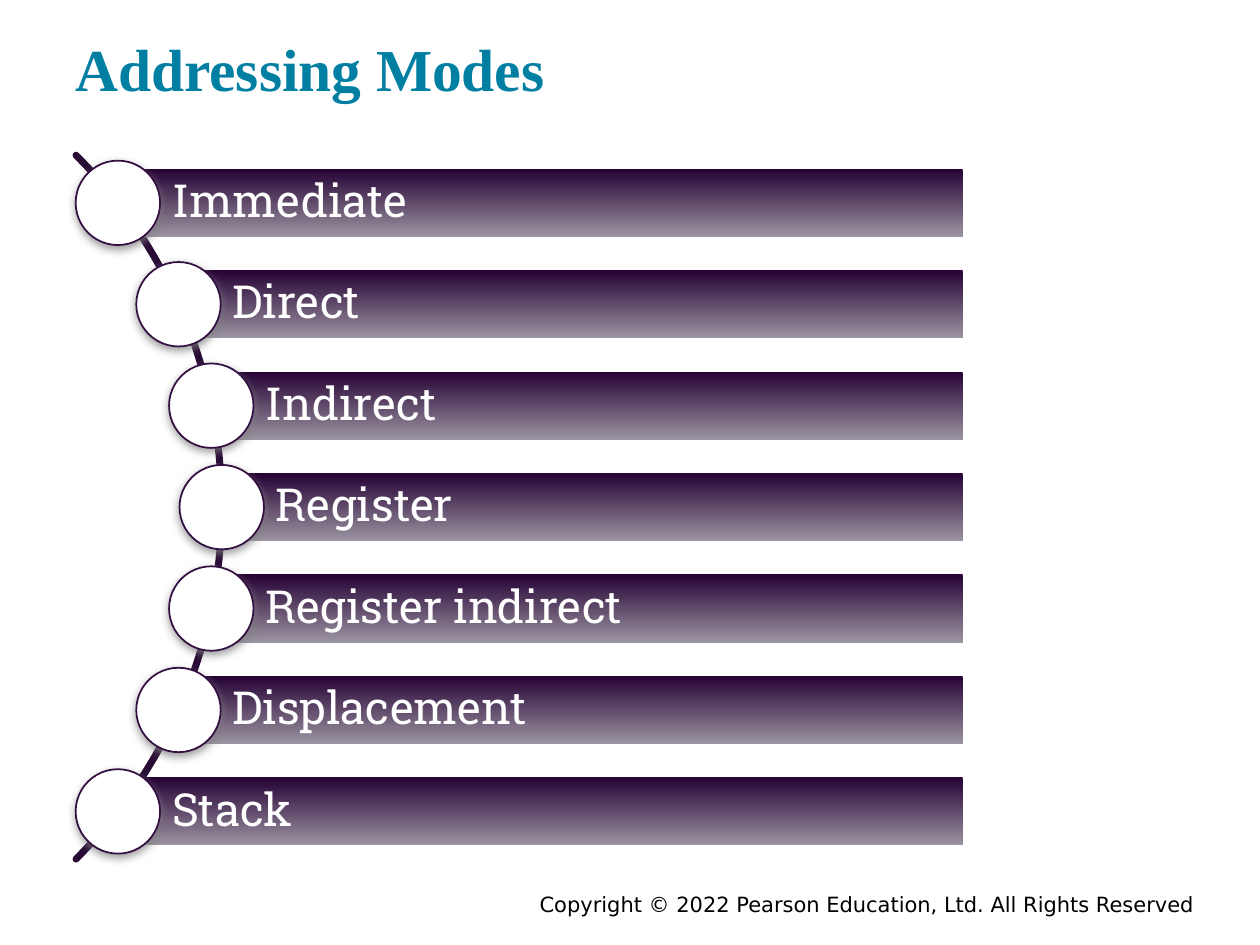
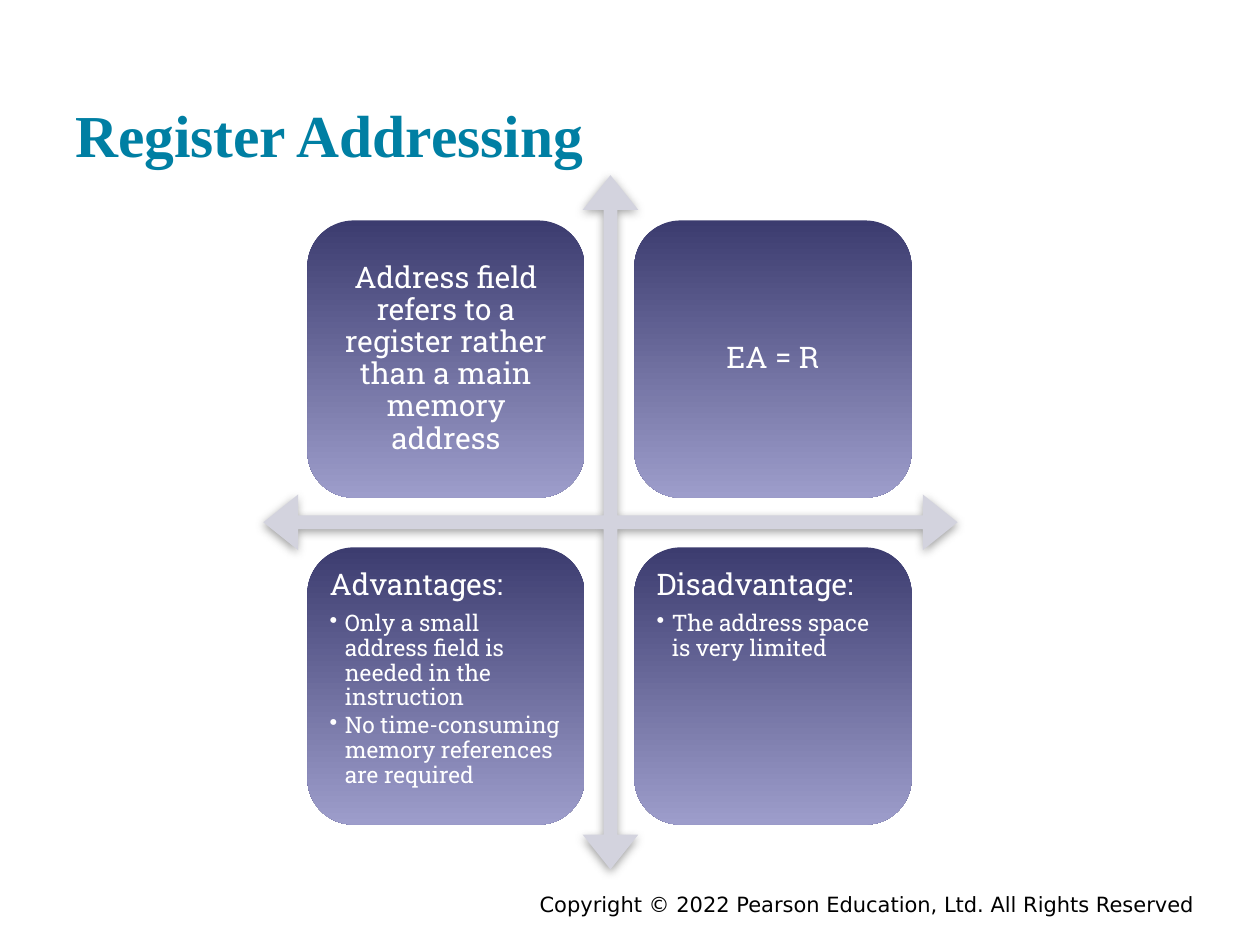
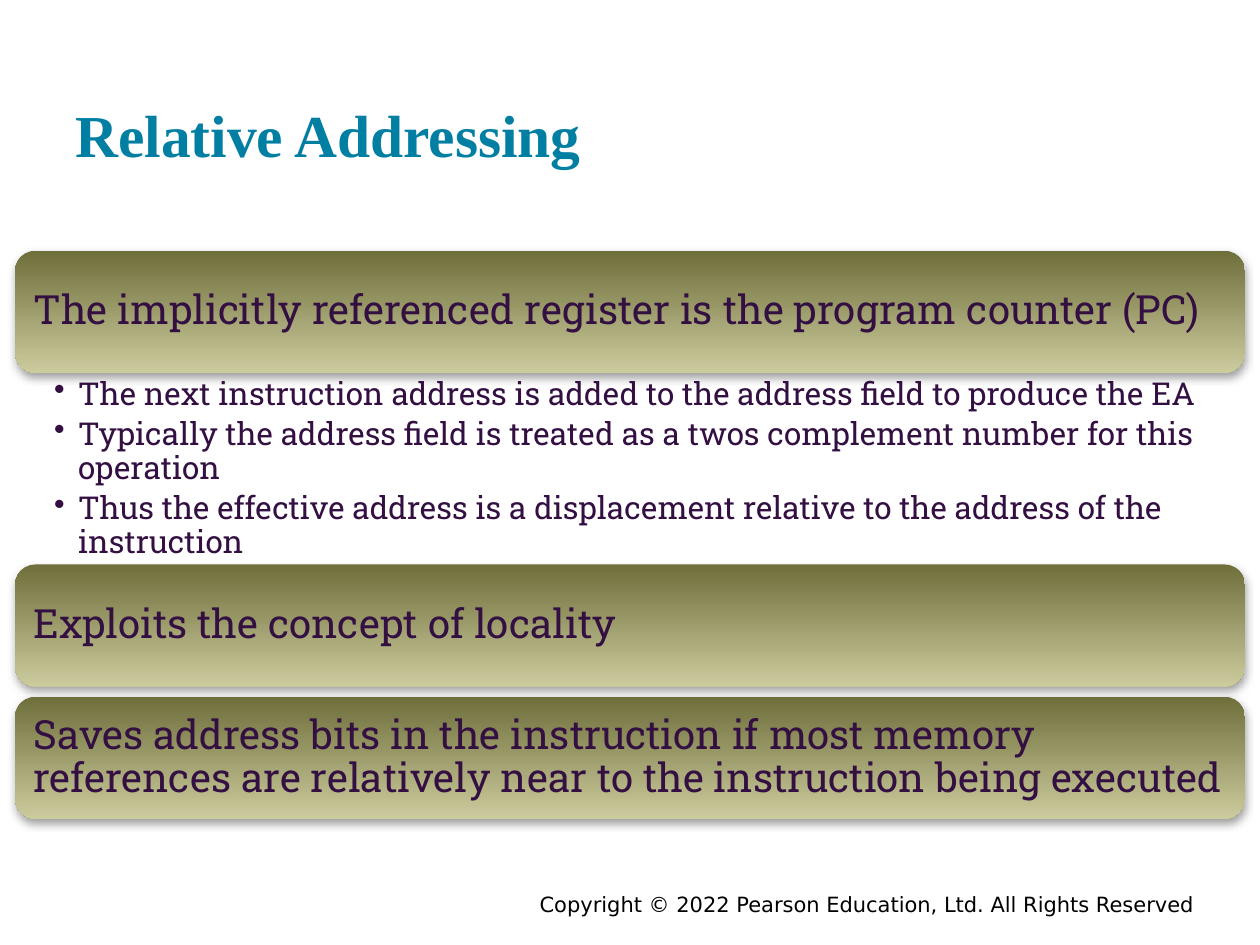
"""Build three slides on processor addressing modes."""
from dataclasses import dataclass
from math import cos, radians, sin, sqrt
from typing import NamedTuple, Optional, Sequence

from lxml.etree import SubElement
from pptx import Presentation
from pptx.dml.color import RGBColor
from pptx.enum.shapes import MSO_SHAPE as Preset
from pptx.enum.text import MSO_ANCHOR as Anchor, PP_ALIGN as Align
from pptx.oxml.ns import qn
from pptx.presentation import Presentation as Deck
from pptx.shapes.autoshape import Shape
from pptx.slide import Slide
from pptx.util import Inches, Pt

COLUMNS, ROWS = 100, 75
CELL = Inches(10) // COLUMNS


class Box(NamedTuple):
    """Area in columns and rows of the slide grid."""

    left: float
    top: float
    width: float
    height: float


class Gradient(NamedTuple):
    """Top and bottom colours of a vertical blend."""

    top: str
    bottom: str


class Insets(NamedTuple):
    """Text margins in grid cells."""

    left: float
    top: float
    right: float
    bottom: float


@dataclass(frozen=True)
class Theme:
    """Colours, fonts and type sizes shared by the slides."""

    title: str = "007FA3"
    ink: str = "330F42"
    white: str = "FFFFFF"
    black: str = "000000"
    arc: str = "290C35"
    arrows: str = "D3D3DE"
    shadow: str = "808080"
    purple: Gradient = Gradient("260235", "9B94A1")
    violet: Gradient = Gradient("3C3C6F", "9D9DCB")
    olive: Gradient = Gradient("6F6F3C", "CBCB9D")
    title_font: str = "Times New Roman"
    body_font: str = "Roboto Slab"
    footer_font: str = "DejaVu Sans"
    title_size: int = 34
    mode_size: int = 26
    statement_size: int = 23
    detail_size: int = 18
    quadrant_size: int = 17
    point_size: int = 13
    footer_size: int = 12


THEME = Theme()


@dataclass(frozen=True)
class Line:
    """One paragraph with its look."""

    text: str
    size: int
    color: str
    font: str = THEME.body_font
    bold: bool = False
    align: Align = Align.LEFT
    spacing: float = 0.9
    after: float = 0.35
    hang: float = 0


@dataclass(frozen=True)
class Quadrant:
    """Heading of a quadrant and the points below it."""

    heading: str
    points: Sequence[str] = ()


MODES = ("Immediate", "Direct", "Indirect", "Register", "Register indirect", "Displacement", "Stack")
QUADRANTS = (
    Quadrant("Address field refers to a register rather than a main memory address"),
    Quadrant("EA = R"),
    Quadrant("Advantages:", (
        "Only a small address field is needed in the instruction",
        "No time-consuming memory references are required",
    )),
    Quadrant("Disadvantage:", ("The address space is very limited",)),
)
STATEMENTS = (
    (19.9, "The implicitly referenced register is the program counter (PC)"),
    (44.8, "Exploits the concept of locality"),
    (55.3, "Saves address bits in the instruction if most memory references "
           "are relatively near to the instruction being executed"),
)
DETAILS = (
    "The next instruction address is added to the address field to produce the EA",
    "Typically the address field is treated as a twos complement number for this operation",
    "Thus the effective address is a displacement relative to the address of the instruction",
)
COPYRIGHT = "Copyright © 2022 Pearson Education, Ltd. All Rights Reserved"


def cells(count: float) -> int:
    """Convert grid cells to slide units."""
    return round(count * CELL)


def rgb(color: str) -> RGBColor:
    """Read a hex colour."""
    return RGBColor.from_string(color)


def write(shape: Shape, lines: Sequence[Line], insets: Insets, anchor: Anchor) -> None:
    """Fill a shape with paragraphs."""
    frame = shape.text_frame
    frame.word_wrap = True
    frame.vertical_anchor = anchor
    frame.margin_left, frame.margin_top, frame.margin_right, frame.margin_bottom = map(cells, insets)
    for index, line in enumerate(lines):
        paragraph = frame.add_paragraph() if index else frame.paragraphs[0]
        if line.hang:
            properties = paragraph._p.get_or_add_pPr()
            properties.set("marL", str(cells(line.hang)))
            properties.set("indent", str(-cells(line.hang)))
            SubElement(properties, qn("a:buChar")).set("char", "•")
        paragraph.alignment = line.align
        paragraph.line_spacing = line.spacing
        paragraph.space_after = Pt(line.after * line.size)
        run = paragraph.add_run()
        run.text = line.text
        run.font.name, run.font.size, run.font.bold = line.font, Pt(line.size), line.bold
        run.font.color.rgb = rgb(line.color)


def add_text(slide: Slide, box: Box, lines: Sequence[Line], insets: Insets, anchor: Anchor = Anchor.TOP) -> None:
    """Place text without a background."""
    write(slide.shapes.add_textbox(*map(cells, box)), lines, insets, anchor)


def cast_shadow(shape: Shape) -> None:
    """Drop a soft shadow straight down."""
    effects = shape._element.spPr.find(qn("a:effectLst"))
    outer = SubElement(effects, qn("a:outerShdw"), blurRad=str(Pt(5)), dist=str(Pt(2)),
                       dir="5400000", rotWithShape="0")
    color = SubElement(outer, qn("a:srgbClr"), val=THEME.shadow)
    SubElement(color, qn("a:alpha"), val="75000")


def add_panel(slide: Slide, preset: Preset, box: Box, fill: str | Gradient,
              outline: Optional[str] = None, shadow: bool = False) -> Shape:
    """Draw a filled preset shape."""
    panel = slide.shapes.add_shape(preset, *map(cells, box))
    panel.shadow.inherit = False
    if isinstance(fill, Gradient):
        panel.fill.gradient()
        panel.fill.gradient_angle = 270
        for stop, color in zip(panel.fill.gradient_stops, fill):
            stop.color.rgb = rgb(color)
    else:
        panel.fill.solid()
        panel.fill.fore_color.rgb = rgb(fill)
    if outline:
        panel.line.color.rgb = rgb(outline)
        panel.line.width = Pt(1)
    else:
        panel.line.fill.background()
    if shadow:
        cast_shadow(panel)
    return panel


def add_page(deck: Deck, title: str, top: float = 1.9, height: float = 12, inset: float = 0.5) -> Slide:
    """Start a slide with its footer and title."""
    slide = deck.slides.add_slide(deck.slide_layouts[6])
    footer = Line(COPYRIGHT, THEME.footer_size, THEME.black, THEME.footer_font,
                  align=Align.RIGHT, spacing=1, after=0)
    heading = Line(title, THEME.title_size, THEME.title, THEME.title_font, bold=True, spacing=1, after=0)
    add_text(slide, Box(17.5, 70.3, 78.3, 2.2), [footer], Insets(1, 0.5, 1, 0.5))
    add_text(slide, Box(5, top, 90, height), [heading], Insets(1, inset, 1, inset), Anchor.BOTTOM)
    return slide


def add_arc(slide: Slide, center_x: float, center_y: float, radius: float) -> None:
    """Draw the quarter arc that strings the modes together."""
    points = [
        (cells(center_x + radius * cos(radians(angle))), cells(center_y + radius * sin(radians(angle))))
        for angle in range(-45, 46)
    ]
    builder = slide.shapes.build_freeform(*points[0])
    builder.add_line_segments(points[1:], close=False)
    arc = builder.convert_to_shape()
    arc.shadow.inherit = False
    arc.fill.background()
    arc.line.color.rgb = rgb(THEME.arc)
    arc.line.width = Pt(4)
    arc._element.spPr.find(qn("a:ln")).set("cap", "rnd")


def add_modes(deck: Deck) -> None:
    """List the addressing modes along an arc."""
    slide = add_page(deck, "Addressing Modes", top=3, height=6.2, inset=1)
    center_x, center_y, radius = -21.9, 40.25, 39.5
    pitch, bar_height, dot, bar_right = 8.05, 5.4, 6.7, 76.4
    add_arc(slide, center_x, center_y, radius)
    for index, mode in enumerate(MODES):
        offset = (index - len(MODES) // 2) * pitch
        x, y = center_x + sqrt(radius ** 2 - offset ** 2), center_y + offset
        bar = add_panel(slide, Preset.RECTANGLE, Box(x, y - bar_height / 2, bar_right - x, bar_height),
                        THEME.purple)
        write(bar, [Line(mode, THEME.mode_size, THEME.white)], Insets(4.3, 0.7, 0.7, 0.7), Anchor.MIDDLE)
        add_panel(slide, Preset.OVAL, Box(x - dot / 2, y - dot / 2, dot, dot), THEME.white,
                  outline=THEME.ink, shadow=True)


def add_register(deck: Deck) -> None:
    """Show register addressing in four quadrants."""
    slide = add_page(deck, "Register Addressing")
    arrows = add_panel(slide, Preset.QUAD_ARROW, Box(20.9, 13.9, 55.1, 55.1), THEME.arrows, shadow=True)
    for index, share in enumerate((0.02, 0.04, 0.05)):
        arrows.adjustments[index] = share
    side, pitch = 22, 25.95
    for index, quadrant in enumerate(QUADRANTS):
        row, column = divmod(index, 2)
        box = Box(24.4 + column * pitch, 17.5 + row * pitch, side, side)
        align, anchor = (Align.LEFT, Anchor.TOP) if quadrant.points else (Align.CENTER, Anchor.MIDDLE)
        lines = [Line(quadrant.heading, THEME.quadrant_size, THEME.white, align=align)]
        lines += [Line(point, THEME.point_size, THEME.white, after=0.15, hang=1.2) for point in quadrant.points]
        card = add_panel(slide, Preset.ROUNDED_RECTANGLE, box, THEME.violet)
        write(card, lines, Insets(0.7, 0.7, 0.7, 0.7), anchor)


def add_relative(deck: Deck) -> None:
    """Explain relative addressing in stacked statements."""
    slide = add_page(deck, "Relative Addressing")
    left, width = 1.2, 97.6
    for top, statement in STATEMENTS:
        card = add_panel(slide, Preset.ROUNDED_RECTANGLE, Box(left, top, width, 9.7), THEME.olive, shadow=True)
        write(card, [Line(statement, THEME.statement_size, THEME.ink)], Insets(1, 1, 1, 1), Anchor.MIDDLE)
    details = [Line(detail, THEME.detail_size, THEME.ink, after=0.2, hang=1.9) for detail in DETAILS]
    add_text(slide, Box(left, 29.7, width, 15.1), details, Insets(3.1, 0.3, 1.8, 0.3))


def main() -> None:
    """Build and save the slides."""
    deck = Presentation()
    deck.slide_width, deck.slide_height = cells(COLUMNS), cells(ROWS)
    for add_slide in (add_modes, add_register, add_relative):
        add_slide(deck)
    deck.save("out.pptx")


if __name__ == "__main__":
    main()
